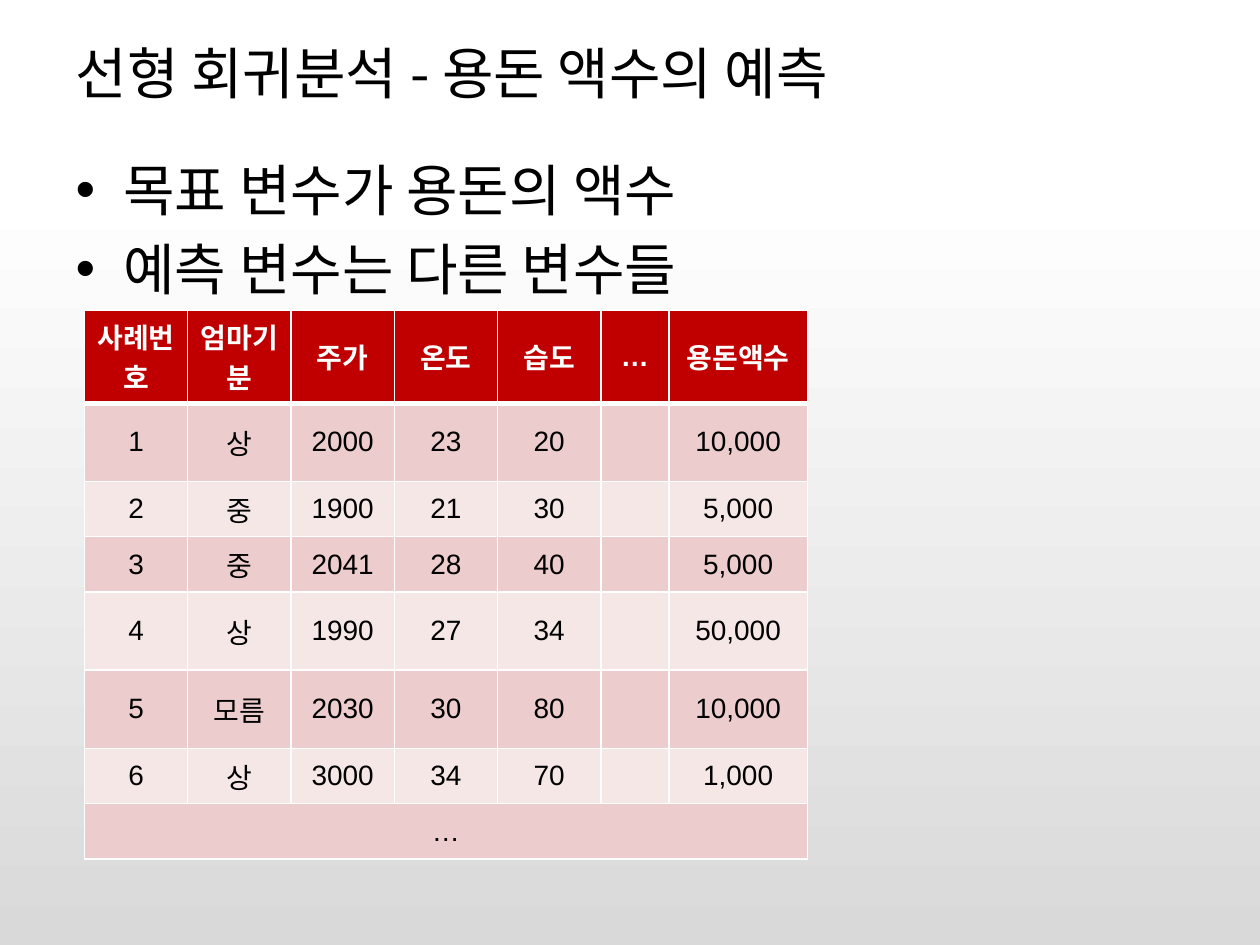
from lxml import etree
from pptx import Presentation
from pptx.dml.color import RGBColor as RGB
from pptx.enum.text import MSO_ANCHOR as Anchor, MSO_AUTO_SIZE as AutoSize, PP_ALIGN as Align
from pptx.oxml.ns import qn
from pptx.util import Inches, Pt

COLORS = {"text": "000000", "white": "FFFFFF", "shade": "D9D9D9",
          "header": "C00000", "odd": "ECCCCC", "even": "F6E7E7"}
KOREAN = "Noto Sans CJK KR"
LATIN = "Arial"

TITLE = "선형 회귀분석 - 용돈 액수의 예측"
POINTS = ["목표 변수가 용돈의 액수", "예측 변수는 다른 변수들"]
ROWS = [
    ["사례번호", "엄마기분", "주가", "온도", "습도", "…", "용돈액수"],
    ["1", "상", "2000", "23", "20", "", "10,000"],
    ["2", "중", "1900", "21", "30", "", "5,000"],
    ["3", "중", "2041", "28", "40", "", "5,000"],
    ["4", "상", "1990", "27", "34", "", "50,000"],
    ["5", "모름", "2030", "30", "80", "", "10,000"],
    ["6", "상", "3000", "34", "70", "", "1,000"],
    ["…"] + [""] * 6,
]
COLUMN_WIDTHS = [0.82] * 5 + [0.54, 1.1]
ROW_HEIGHTS = [0.63, 0.62, 0.44, 0.44, 0.62, 0.62, 0.44, 0.44]


class SlideBuilder:
    def __init__(self, deck):
        self.page = deck.slides.add_slide(deck.slide_layouts[1])

    def background(self, stops, angle):
        fill = self.page.background.fill
        fill.gradient()
        fill.gradient_angle = angle
        for stop, (position, color) in zip(fill.gradient_stops, stops):
            stop.position = position
            stop.color.rgb = RGB.from_string(COLORS[color])

    def add_span(self, para, text, size, color="text", bold=False, latin=LATIN):
        span = para.add_run()
        span.text = text
        for name, value in {"size": Pt(size), "bold": bold, "name": latin}.items():
            setattr(span.font, name, value)
        span.font.color.rgb = RGB.from_string(COLORS[color])
        etree.SubElement(span.font._element, qn("a:ea"), typeface=KOREAN)

    def place(self, box, left, top, width, height, anchor):
        frame = {"left": left, "top": top, "width": width, "height": height}
        for name, value in frame.items():
            setattr(box, name, Inches(value))
        text_format = {"vertical_anchor": anchor, "word_wrap": True,
                       "auto_size": AutoSize.NONE}
        for name, value in text_format.items():
            setattr(box.text_frame, name, value)

    def title(self, text):
        box = self.page.shapes.title
        self.place(box, 0.5, 0.3, 9, 0.54, Anchor.MIDDLE)
        para = box.text_frame.paragraphs[0]
        para.alignment = Align.LEFT
        self.add_span(para, text, 32, latin=KOREAN)

    def bullets(self, points):
        box = self.page.placeholders[1]
        self.place(box, 0.5, 1.15, 9, 5.55, Anchor.TOP)
        for index, text in enumerate(points):
            frame = box.text_frame
            para = frame.add_paragraph() if index else frame.paragraphs[0]
            para.space_before = Pt(4 if index else 0)
            para.line_spacing = Pt(41)
            properties = para._p.get_or_add_pPr()
            properties.set("marL", str(Inches(0.38)))
            properties.set("indent", str(-Inches(0.38)))
            etree.SubElement(properties, qn("a:buFont"), typeface=LATIN)
            etree.SubElement(properties, qn("a:buChar"), char="•")
            self.add_span(para, text, 32)

    def borders(self, cell, widths):
        properties = cell._tc.get_or_add_tcPr()
        for side, width in widths.items():
            line = etree.SubElement(properties, qn(f"a:ln{side}"), w=str(Pt(width)))
            fill = etree.SubElement(line, qn("a:solidFill"))
            etree.SubElement(fill, qn("a:srgbClr"), val=COLORS["white"])

    def table(self, left, top, rows, widths, heights):
        table = self.page.shapes.add_table(
            len(rows), len(widths), Inches(left), Inches(top),
            Inches(sum(widths)), Inches(sum(heights))).table
        for column, width in zip(table.columns, widths):
            column.width = Inches(width)
        for row, height in zip(table.rows, heights):
            row.height = Inches(height)

        for r, values in enumerate(rows):
            header = r == 0
            band = "header" if header else "odd" if r % 2 else "even"
            for c, text in enumerate(values):
                cell = table.cell(r, c)
                cell.vertical_anchor = Anchor.MIDDLE
                self.borders(cell, {"L": 1, "R": 1, "T": 3 if r == 1 else 1,
                                    "B": 3 if header else 1})
                cell.fill.solid()
                cell.fill.fore_color.rgb = RGB.from_string(COLORS[band])
                if text:
                    para = cell.text_frame.paragraphs[0]
                    para.alignment = Align.CENTER
                    self.add_span(para, text, 16, "white" if header else "text", header)

        # The closing row spans the whole table
        last = len(rows) - 1
        table.cell(last, 0).merge(table.cell(last, len(widths) - 1))


def main():
    deck = Presentation()
    deck.slide_width, deck.slide_height = Inches(10), Inches(7.5)

    # Background, title and list
    slide = SlideBuilder(deck)
    slide.background([(0.2, "white"), (1, "shade")], 270)
    slide.title(TITLE)
    slide.bullets(POINTS)

    # Case table
    slide.table(0.67, 2.46, ROWS, COLUMN_WIDTHS, ROW_HEIGHTS)
    deck.save("out.pptx")


if __name__ == "__main__":
    main()
